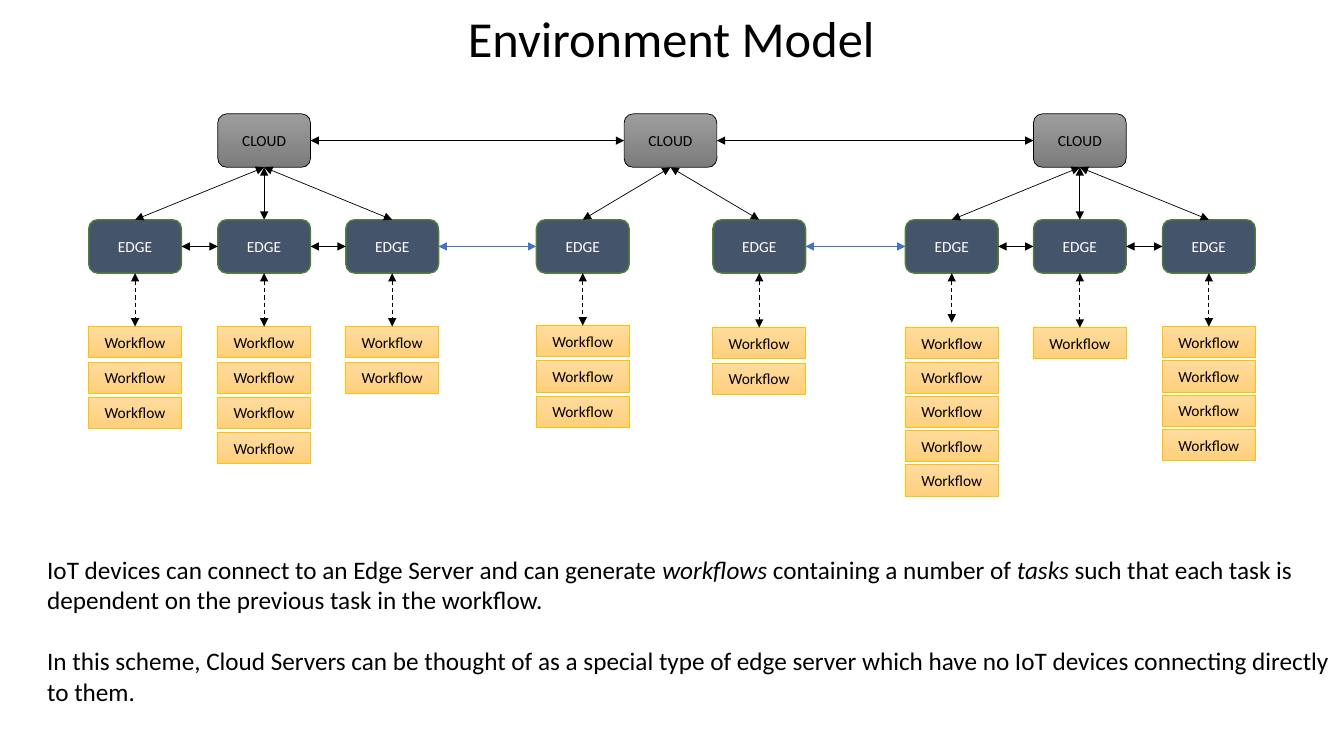
from dataclasses import dataclass

from lxml import etree
from pptx import Presentation
from pptx import util as u
from pptx.dml.color import RGBColor
from pptx.enum import dml, shapes, text
from pptx.oxml.ns import qn

BLACK, WHITE, BLUE = "000000", "FFFFFF", "4472C4"
NODE_WIDTH, NODE_HEIGHT, WORKFLOW_HEIGHT = 0.92, 0.53, 0.31
CLOUD_TOP, EDGE_TOP = 1.13, 2.18
TOP, LEFT, BOTTOM, RIGHT = range(4)  # connection sites


@dataclass(frozen=True)
class Style:
    kind: int
    height: float
    fill: tuple[str, ...]  # two colours make a vertical gradient
    line: str
    line_width: float
    font: str


@dataclass(frozen=True)
class Edge:
    left: float
    workflows: int
    workflow_top: float = 3.24
    link_gap: float = 0


@dataclass(frozen=True)
class Cluster:
    cloud_left: float
    edges: tuple[Edge, ...]
    peers_linked: bool = True
    workflow_step: float = 0.35


ROUNDED = shapes.MSO_SHAPE.FLOWCHART_ALTERNATE_PROCESS
CLOUD = Style(ROUNDED, NODE_HEIGHT, ("9D9D9D", "7C7C7C"), BLACK, 0.5, BLACK)
EDGE = Style(ROUNDED, NODE_HEIGHT, ("44546A",), "538035", 1, WHITE)
WORKFLOW = Style(shapes.MSO_SHAPE.RECTANGLE, WORKFLOW_HEIGHT,
                 ("FFDB9E", "FFD07C"), "FFC000", 0.5, BLACK)

CLUSTERS = (
    Cluster(2.16, (Edge(0.88, 3), Edge(2.16, 4), Edge(3.43, 2))),
    Cluster(6.19, (Edge(5.32, 3, 3.23), Edge(7.07, 2, 3.25)), peers_linked=False),
    Cluster(10.25, (Edge(8.98, 5, 3.25, link_gap=0.05), Edge(10.25, 1, 3.25),
                    Edge(11.53, 4)), workflow_step=0.34),
)

NOTES = (
    (("IoT devices can connect to an Edge Server and can generate ", False),
     ("workflows", True), (" containing a number of ", False), ("tasks ", True),
     ("such that each task is dependent on the previous task in the workflow.", False)),
    (("In this scheme, Cloud Servers can be thought of as a special type of edge "
      "server which have no IoT devices connecting directly to them.", False),),
)


def colour(value: str) -> RGBColor:
    return RGBColor.from_string(value)


def add_span(para, content: str, *, size: float, tint: str = BLACK,
             italic: bool = False) -> None:
    span = para.add_run()
    span.text = content
    span.font.name = "Calibri"
    span.font.size = u.Pt(size)
    span.font.italic = italic
    span.font.color.rgb = colour(tint)


def place(box, left: float, top: float, width: float, height: float) -> None:
    box.left, box.top = u.Inches(left), u.Inches(top)
    box.width, box.height = u.Inches(width), u.Inches(height)


def add_node(page, label: str, left: float, top: float, style: Style):
    box = page.shapes.add_shape(
        style.kind, u.Inches(left), u.Inches(top),
        u.Inches(NODE_WIDTH), u.Inches(style.height))
    box.shadow.inherit = False
    if len(style.fill) == 1:
        box.fill.solid()
        box.fill.fore_color.rgb = colour(style.fill[0])
    else:
        box.fill.gradient()
        box.fill.gradient_angle = 270
        for stop, tint in zip(box.fill.gradient_stops, style.fill):
            stop.color.rgb = colour(tint)
    box.line.color.rgb = colour(style.line)
    box.line.width = u.Pt(style.line_width)
    box.text_frame.vertical_anchor = text.MSO_ANCHOR.MIDDLE
    para = box.text_frame.paragraphs[0]
    para.alignment = text.PP_ALIGN.CENTER
    add_span(para, label, size=11, tint=style.font)
    return box


def add_arrow(page, *, tint: str = BLACK, width: float = 0.5, dashed: bool = False):
    """Add a two-headed arrow whose ends are set by the caller."""
    arrow = page.shapes.add_connector(shapes.MSO_CONNECTOR.STRAIGHT, 0, 0, 0, 0)
    arrow.line.color.rgb = colour(tint)
    arrow.line.width = u.Pt(width)
    if dashed:
        arrow.line.dash_style = dml.MSO_LINE.DASH
    properties = arrow.element.spPr
    outline = properties.find(qn("a:ln"))
    for end in ("a:headEnd", "a:tailEnd"):
        etree.SubElement(outline, qn(end), type="triangle")
    etree.SubElement(properties, qn("a:effectLst"))
    return arrow


def join(page, start, start_site: int, finish, finish_site: int,
         tint: str = BLACK) -> None:
    arrow = add_arrow(page, tint=tint)
    arrow.begin_connect(start, start_site)
    arrow.end_connect(finish, finish_site)


def add_workflows(page, edge: Edge, step: float) -> None:
    for row in range(edge.workflows):
        add_node(page, "Workflow", edge.left, edge.workflow_top + row * step, WORKFLOW)
    arrow = add_arrow(page, width=0.75, dashed=True)
    arrow.begin_x = arrow.end_x = u.Inches(edge.left + NODE_WIDTH / 2)
    arrow.begin_y = u.Inches(EDGE_TOP + NODE_HEIGHT)
    arrow.end_y = u.Inches(edge.workflow_top - edge.link_gap)


def add_cluster(page, cluster: Cluster):
    cloud = add_node(page, "CLOUD", cluster.cloud_left, CLOUD_TOP, CLOUD)
    servers = [add_node(page, "EDGE", edge.left, EDGE_TOP, EDGE)
               for edge in cluster.edges]
    for server in servers:
        join(page, cloud, BOTTOM, server, TOP)
    if cluster.peers_linked:
        for near, far in zip(servers, servers[1:]):
            join(page, near, RIGHT, far, LEFT)
    for edge in cluster.edges:
        add_workflows(page, edge, cluster.workflow_step)
    return cloud, servers


deck = Presentation()
deck.slide_width, deck.slide_height = u.Inches(13.33), u.Inches(7.5)
page = deck.slides.add_slide(deck.slide_layouts[5])

# Title
title = page.shapes.title
place(title, 4.54, 0.02, 4.27, 0.71)
title.text_frame.word_wrap = False
title.text_frame.auto_size = text.MSO_AUTO_SIZE.SHAPE_TO_FIT_TEXT
title.text_frame.vertical_anchor = text.MSO_ANCHOR.TOP
title.text_frame.paragraphs[0].alignment = text.PP_ALIGN.LEFT
add_span(title.text_frame.paragraphs[0], "Environment Model", size=36)

# Clusters and the links between them
drawn = [add_cluster(page, cluster) for cluster in CLUSTERS]
for (cloud, servers), (next_cloud, next_servers) in zip(drawn, drawn[1:]):
    join(page, cloud, RIGHT, next_cloud, LEFT)
    join(page, servers[-1], RIGHT, next_servers[0], LEFT, tint=BLUE)

# Explanation
notes = page.shapes.add_textbox(0, 0, 0, 0)
place(notes, 0.37, 5.45, 12.96, 1.62)
notes.text_frame.word_wrap = True
for index, sentence in enumerate(NOTES):
    para = notes.text_frame.add_paragraph() if index else notes.text_frame.paragraphs[0]
    para.space_before = u.Pt(22 * index)
    for content, italic in sentence:
        add_span(para, content, size=18, italic=italic)

deck.save("out.pptx")
